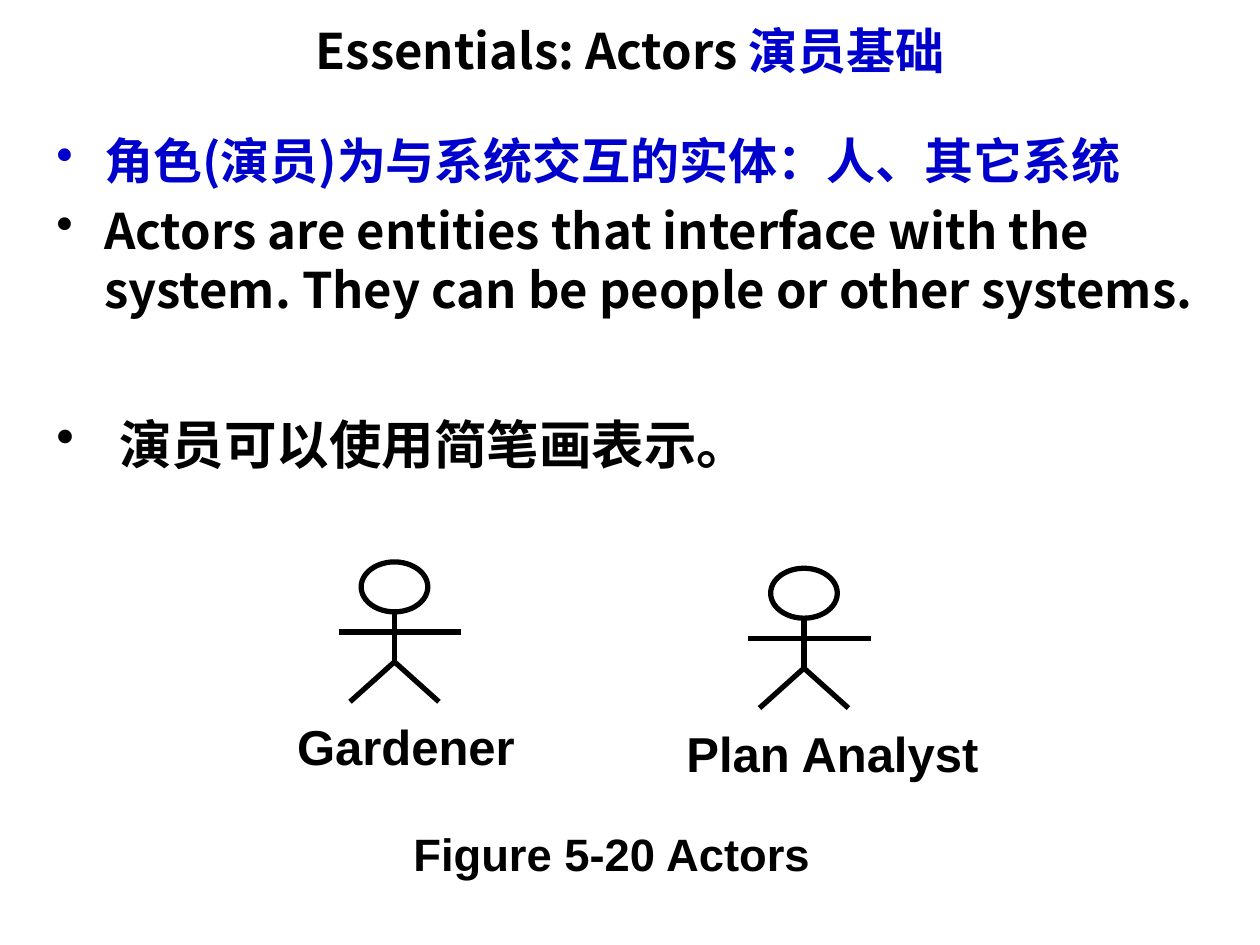
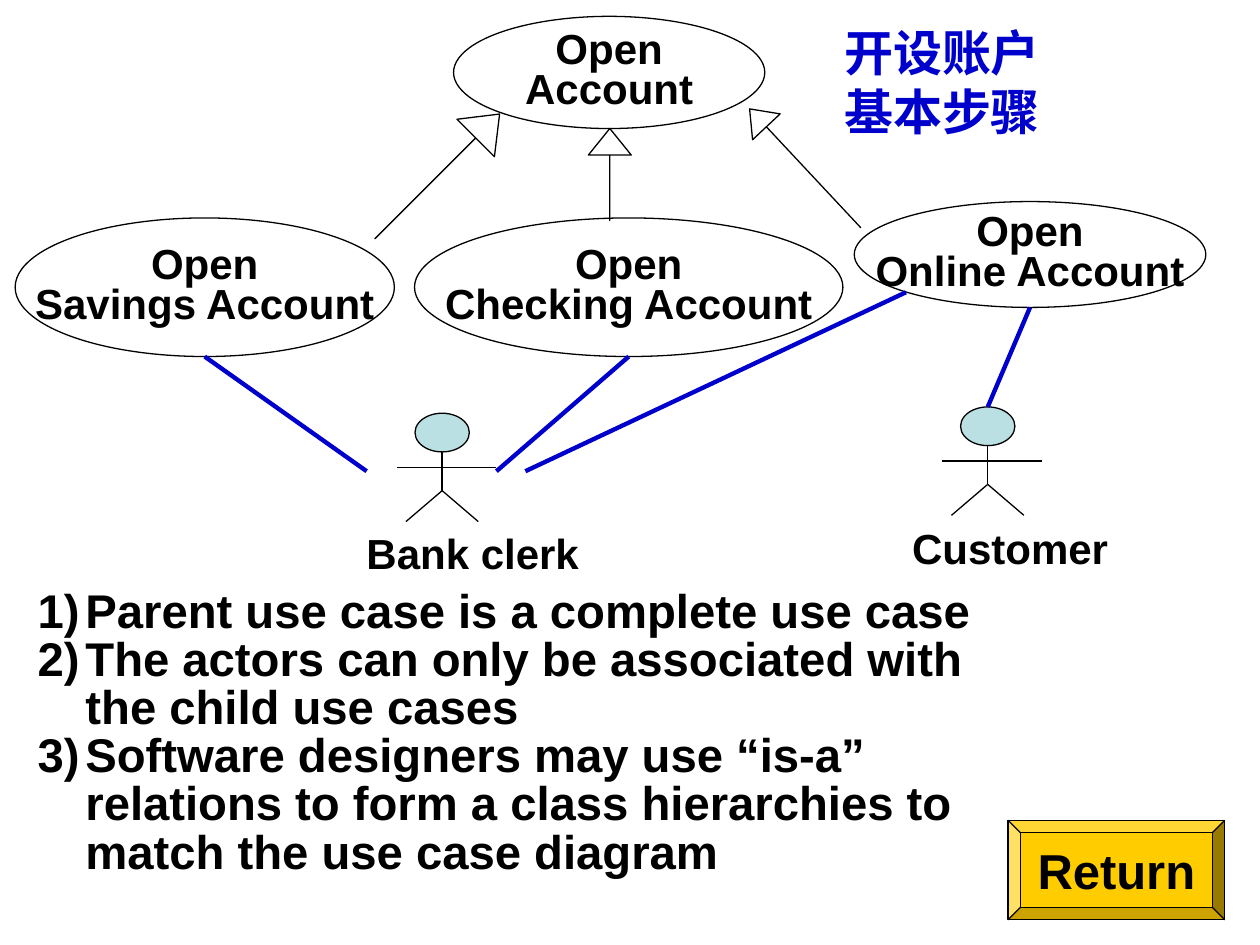
from dataclasses import dataclass
from typing import Any, NamedTuple, Optional

import pptx
import pptx.dml.color
import pptx.enum.shapes
import pptx.enum.text
import pptx.oxml.ns
import pptx.util
from lxml import etree

RGBColor = pptx.dml.color.RGBColor
Shape = pptx.enum.shapes.MSO_SHAPE
Align = pptx.enum.text.PP_ALIGN
Anchor = pptx.enum.text.MSO_ANCHOR

BLACK = RGBColor(0x00, 0x00, 0x00)
WHITE = RGBColor(0xFF, 0xFF, 0xFF)
BLUE = RGBColor(0x00, 0x00, 0xCC)
PALE_TEAL = RGBColor(0xBB, 0xE0, 0xE3)
GOLD = RGBColor(0xFF, 0xCC, 0x00)

LATIN = "Arial"
CJK = "Noto Sans CJK SC"
HANGING = 0.38
THIN = 0.75

# The slide is a grid of 100 columns and 75 rows.
CELL = pptx.util.Inches(0.1)
SLIDE_COLUMNS, SLIDE_ROWS = 100, 75


class Box(NamedTuple):
    """A frame in grid columns and rows."""
    left: float
    top: float
    width: float
    height: float

    def lengths(self) -> list[int]:
        return [cells(value) for value in self]


class Point(NamedTuple):
    column: float
    row: float


class Run(NamedTuple):
    text: str
    color: RGBColor = BLACK


@dataclass(frozen=True)
class TextStyle:
    size: float
    font: str = LATIN
    align: Any = Align.LEFT
    spacing: Optional[float] = None
    before: float = 0
    bullet: str = ""
    indent: float = 0


@dataclass(frozen=True)
class Actor:
    label: str
    frame: Box
    label_frame: Box


@dataclass(frozen=True)
class ActorLook:
    fill: RGBColor
    weight: float
    label_size: float


class UseCase(NamedTuple):
    second_line: str
    frame: Box


class Generalization(NamedTuple):
    frame: Box
    rotation: float
    head: float


def cells(count: float) -> int:
    return round(CELL * count)


def add_bullet(paragraph: Any, style: TextStyle, color: RGBColor) -> None:
    """Give the paragraph a hanging bullet, or a number for the bullet '1)'."""
    properties = paragraph._p.get_or_add_pPr()
    properties.set("marL", str(pptx.util.Inches(style.indent)))
    properties.set("indent", str(-pptx.util.Inches(style.indent)))
    qn = pptx.oxml.ns.qn
    bullet_color = etree.SubElement(properties, qn("a:buClr"))
    etree.SubElement(bullet_color, qn("a:srgbClr"), val=str(color))
    if style.bullet == "1)":
        etree.SubElement(properties, qn("a:buAutoNum"), type="arabicParenR")
    else:
        etree.SubElement(properties, qn("a:buChar"), char=style.bullet)


def write(frame: Any, paragraphs: list[list[Run]], style: TextStyle) -> None:
    for index, runs in enumerate(paragraphs):
        paragraph = frame.paragraphs[0] if index == 0 else frame.add_paragraph()
        if style.bullet:
            add_bullet(paragraph, style, runs[0].color)
        paragraph.alignment = style.align
        if style.spacing:
            paragraph.line_spacing = style.spacing
        if index and style.before:
            paragraph.space_before = pptx.util.Pt(style.before)
        for part in runs:
            run = paragraph.add_run()
            run.text = part.text
            run.font.size = pptx.util.Pt(style.size)
            run.font.bold = True
            run.font.name = style.font
            run.font.color.rgb = part.color
            etree.SubElement(run._r.get_or_add_rPr(), pptx.oxml.ns.qn("a:ea"),
                             typeface=style.font)


def add_text(slide: Any, box: Box, paragraphs: list[list[Run]], style: TextStyle,
             side_inset: float = 0.1) -> None:
    frame = slide.shapes.add_textbox(*box.lengths()).text_frame
    frame.word_wrap = True
    frame.margin_left = frame.margin_right = pptx.util.Inches(side_inset)
    write(frame, paragraphs, style)


def add_outlined(shapes: Any, kind: Any, box: Box, fill: Optional[RGBColor] = None,
                 weight: float = THIN) -> Any:
    shape = shapes.add_shape(kind, *box.lengths())
    shape.shadow.inherit = False
    if fill is None:
        shape.fill.background()
    else:
        shape.fill.solid()
        shape.fill.fore_color.rgb = fill
    shape.line.color.rgb = BLACK
    shape.line.width = pptx.util.Pt(weight)
    return shape


def add_centered_text(shape: Any, lines: list[str], style: TextStyle) -> None:
    shape.text_frame.word_wrap = False
    shape.text_frame.vertical_anchor = Anchor.MIDDLE
    write(shape.text_frame, [[Run(line)] for line in lines], style)


def add_line(shapes: Any, start: Point, end: Point, color: RGBColor = BLACK,
             weight: float = THIN) -> Any:
    line = shapes.add_connector(pptx.enum.shapes.MSO_CONNECTOR.STRAIGHT,
                                *map(cells, (*start, *end)))
    line.line.color.rgb = color
    line.line.width = pptx.util.Pt(weight)
    etree.SubElement(line._element.spPr, pptx.oxml.ns.qn("a:effectLst"))
    return line


def add_actor(slide: Any, actor: Actor, look: ActorLook) -> Any:
    """Draw a labelled stick figure on an 11 by 14 grid and return its head."""
    frame = actor.frame
    unit_x, unit_y = frame.width / 11, frame.height / 14

    def joint(x: float, y: float) -> Point:
        return Point(frame.left + x * unit_x, frame.top + y * unit_y)

    parts = slide.shapes.add_group_shape().shapes
    head = add_outlined(parts, Shape.OVAL,
                        Box(*joint(2, 0), 6 * unit_x, 5 * unit_y),
                        look.fill, look.weight)
    neck, hip = joint(5, 5), joint(5, 10)
    limbs = [(joint(0, 7), joint(11, 7)), (neck, hip),
             (hip, joint(1, 14)), (hip, joint(9, 14))]
    for start, end in limbs:
        add_line(parts, start, end, weight=look.weight)
    add_text(slide, actor.label_frame, [[Run(actor.label)]],
             TextStyle(look.label_size))
    return head


def build_actors_slide(deck: Any) -> None:
    slide = deck.slides.add_slide(deck.slide_layouts[5])
    title = slide.shapes.title
    title.left, title.top, title.width, title.height = Box(5, 2.1, 90, 3.8).lengths()
    title.text_frame.auto_size = pptx.enum.text.MSO_AUTO_SIZE.NONE
    title.text_frame.vertical_anchor = Anchor.MIDDLE
    write(title.text_frame, [[Run("Essentials: Actors "), Run("演员基础", BLUE)]],
          TextStyle(28, CJK, Align.CENTER))

    add_text(slide, Box(3.5, 9.9, 93.7, 21.2), [
        [Run("角色(演员)为与系统交互的实体：人、其它系统", BLUE)],
        [Run("Actors are entities that interface with the system. "
             "They can be people or other systems.")],
    ], TextStyle(28, CJK, before=6, bullet="•", indent=HANGING))
    add_text(slide, Box(3.5, 32.2, 57.7, 6), [[Run("演员可以使用简笔画表示。")]],
             TextStyle(30, CJK, bullet="•", indent=0.5))

    look = ActorLook(WHITE, 3, 28)
    for actor in (
        Actor("Gardener", Box(26.9, 44.6, 9.7, 11.1), Box(22.6, 56.4, 20.2, 5.7)),
        Actor("Plan Analyst", Box(59.4, 45.1, 9.7, 11.1), Box(53.5, 56.9, 27.4, 5.7)),
    ):
        add_actor(slide, actor, look)
    add_text(slide, Box(23.3, 65.9, 50.5, 4.7), [[Run("Figure 5-20 Actors")]],
             TextStyle(25.9, align=Align.CENTER, spacing=0.8))


def build_accounts_slide(deck: Any) -> None:
    slide = deck.slides.add_slide(deck.slide_layouts[6])
    add_text(slide, Box(67, 1.3, 18.5, 10.4),
             [[Run("开设账户", BLUE)], [Run("基本步骤", BLUE)]],
             TextStyle(28, CJK), side_inset=0)

    use_case_style = TextStyle(24, align=Align.CENTER, spacing=0.8)
    savings = Box(1.2, 17.3, 30.1, 11)
    checking = Box(32.9, 17.3, 34, 11)
    online = Box(67.8, 16, 27.9, 8.4)
    for case in (UseCase("Account", Box(36, 1.3, 24.7, 8.9)),
                 UseCase("Savings Account", savings),
                 UseCase("Checking Account", checking),
                 UseCase("Online Account", online)):
        oval = add_outlined(slide.shapes, Shape.OVAL, case.frame)
        add_centered_text(oval, ["Open", case.second_line], use_case_style)

    for arrow in (Generalization(Box(46.7, 10.2, 3.4, 7.3), 0, 0.62),
                  Generalization(Box(62.4, 6.9, 3, 12.9), 316.9, 0.65),
                  Generalization(Box(32.6, 7, 4.2, 14), 45, 0.64)):
        pointer = add_outlined(slide.shapes, Shape.UP_ARROW, arrow.frame)
        pointer.adjustments[0] = 0
        pointer.adjustments[1] = arrow.head
        pointer.rotation = arrow.rotation

    look = ActorLook(PALE_TEAL, THIN, 24)
    add_actor(slide, Actor("Bank clerk", Box(31.5, 32.8, 7.9, 8.6),
                           Box(28.1, 41.4, 19.8, 5)), look)
    customer_head = add_actor(slide, Actor("Customer", Box(74.8, 32.3, 7.9, 8.6),
                                           Box(71.4, 41, 18.5, 5)), look)

    def bottom(box: Box) -> Point:
        return Point(box.left + box.width / 2, box.top + box.height)

    clerk_row = 37.4
    for start, end in ((Point(29.1, clerk_row), bottom(savings)),
                       (Point(39.4, clerk_row), bottom(checking)),
                       (Point(41.7, clerk_row), Point(71.9, 23.2))):
        add_line(slide.shapes, start, end, BLUE, 2.5)
    customer_link = add_line(slide.shapes, Point(78.4, 32.3), bottom(online), BLUE, 2.5)
    customer_link.begin_connect(customer_head, 0)

    rules = ["Parent use case is a complete use case",
             "The actors can only be associated with the child use cases",
             "Software designers may use “is-a” relations to form a class "
             "hierarchies to match the use case diagram"]
    add_text(slide, Box(2, 46.3, 80.7, 24), [[Run(rule)] for rule in rules],
             TextStyle(27, spacing=0.85, bullet="1)", indent=HANGING))

    return_button = add_outlined(slide.shapes, Shape.BEVEL, Box(80, 65.1, 17.2, 7.9), GOLD)
    return_button.adjustments[0] = 0.125
    add_centered_text(return_button, ["Return"], TextStyle(28, align=Align.CENTER))


def main() -> None:
    deck = pptx.Presentation()
    deck.slide_width = cells(SLIDE_COLUMNS)
    deck.slide_height = cells(SLIDE_ROWS)
    build_actors_slide(deck)
    build_accounts_slide(deck)
    deck.save("out.pptx")


if __name__ == "__main__":
    main()
